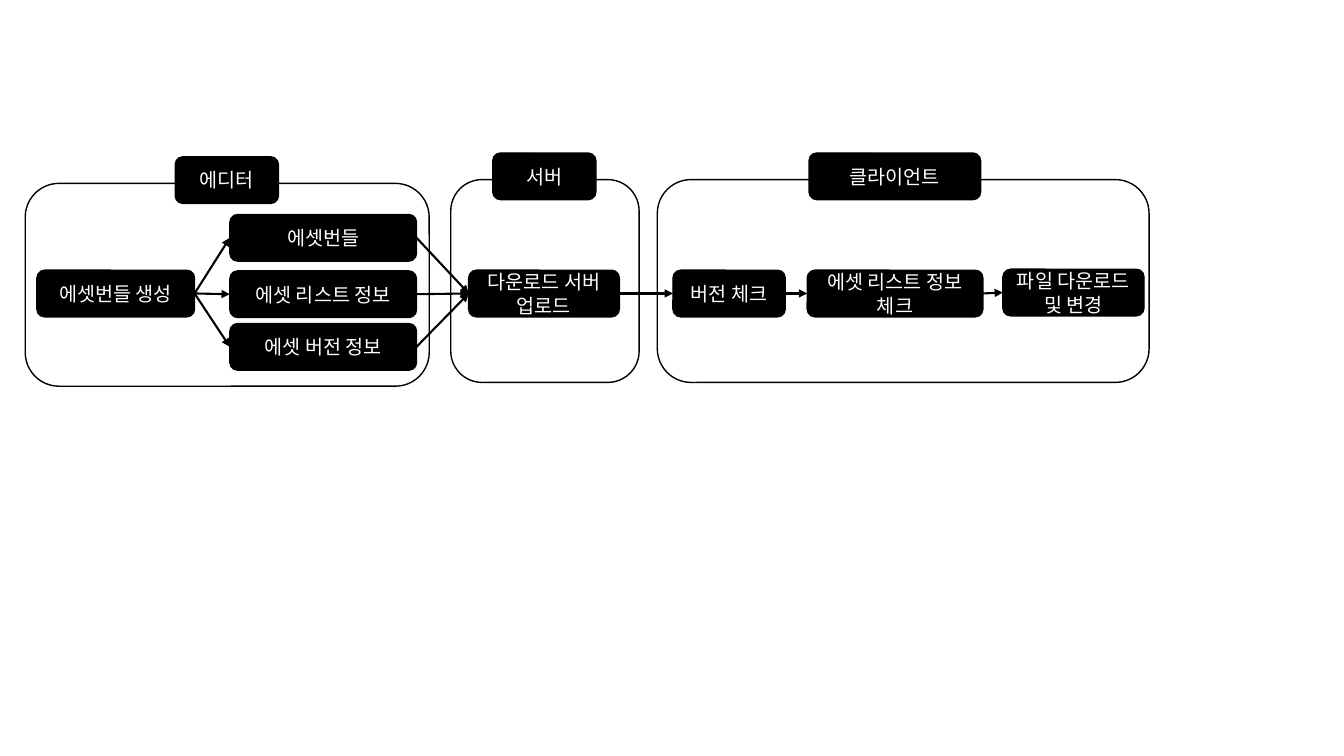
"""Build the asset bundle flow slide: editor, server and client stages."""
from pptx import Presentation
from pptx.dml.color import RGBColor
from pptx.enum.shapes import MSO_CONNECTOR as CONN, MSO_SHAPE as SHAPE
from pptx.enum.text import MSO_ANCHOR as ANCHOR, PP_ALIGN as ALIGN
from pptx.oxml.ns import qn
from pptx.util import Pt
from lxml.etree import SubElement

FONT = "Noto Sans CJK KR"
BLACK, WHITE = "000000", "FFFFFF"
BOX_H, FRAME_H, TAB_RISE = 33.3, 144.9, 19
LEFT_SITE, RIGHT_SITE = 1, 3

# title, frame left, top, width, tab left, tab width
STAGES = [
    ("서버", 322, 128.3, 134.6, 352, 73.7),
    ("클라이언트", 469.5, 128.3, 351.3, 577.9, 122.6),
    ("에디터", 18, 131, 288.6, 125.2, 73.7),
]
# key: text, left, top, width
STEPS = {
    "create": ("에셋번들 생성", 26.4, 193, 112.6),
    "bundle": ("에셋번들", 164.2, 153.2, 133.3),
    "list": ("에셋 리스트 정보", 164.2, 193.5, 133.3),
    "version": ("에셋 버전 정보", 164.2, 231.1, 133.3),
    "upload": ("다운로드 서버 업로드", 334.8, 193, 107.6),
    "check_version": ("버전 체크", 480.7, 193, 80.2),
    "check_list": ("에셋 리스트 정보 체크", 576.6, 193, 125.5),
    "download": ("파일 다운로드 및 변경", 716.4, 192.3, 100.8),
}
OUTPUTS = ["bundle", "list", "version"]
CHAIN = ["upload", "check_version", "check_list", "download"]
ARROWS = ([("create", k) for k in OUTPUTS] + [(k, "upload") for k in OUTPUTS]
          + list(zip(CHAIN, CHAIN[1:])))


def rgb(value):
    return RGBColor.from_string(value)


def add_box(s, x, y, w, h, fill, text=""):
    sp = s.shapes.add_shape(SHAPE.ROUNDED_RECTANGLE, Pt(x), Pt(y), Pt(w), Pt(h))
    sp.shadow.inherit = False
    sp.fill.solid()
    sp.fill.fore_color.rgb = rgb(fill)
    sp.line.color.rgb = rgb(BLACK)
    sp.line.width = Pt(1)
    if text:
        tf = sp.text_frame
        tf.word_wrap = True
        tf.vertical_anchor = ANCHOR.MIDDLE
        p = tf.paragraphs[0]
        p.alignment = ALIGN.CENTER
        r = p.add_run()
        r.text = text
        r.font.size = Pt(14)
        r.font.name = FONT
        r.font.color.rgb = rgb(WHITE)
        SubElement(r.font._element, qn("a:ea"), typeface=FONT)
    return sp


def add_arrow(s, start, end):
    c = s.shapes.add_connector(CONN.STRAIGHT, 0, 0, 0, 0)
    c.begin_connect(start, RIGHT_SITE)
    c.end_connect(end, LEFT_SITE)
    c.line.color.rgb = rgb(BLACK)
    c.line.width = Pt(1.5)
    SubElement(c.line._get_or_add_ln(), qn("a:tailEnd"), type="triangle")
    SubElement(c._element.spPr, qn("a:effectLst"))


prs = Presentation()
prs.slide_width, prs.slide_height = Pt(960), Pt(540)
s = prs.slides.add_slide(prs.slide_layouts[6])

for _, x, y, w, _, _ in STAGES:
    add_box(s, x, y, w, FRAME_H, WHITE)
for title, _, y, _, tab_x, tab_w in STAGES:
    add_box(s, tab_x, y - TAB_RISE, tab_w, BOX_H, BLACK, title)
boxes = {key: add_box(s, x, y, w, BOX_H, BLACK, text)
         for key, (text, x, y, w) in STEPS.items()}
for start, end in ARROWS:
    add_arrow(s, boxes[start], boxes[end])

prs.save("out.pptx")
